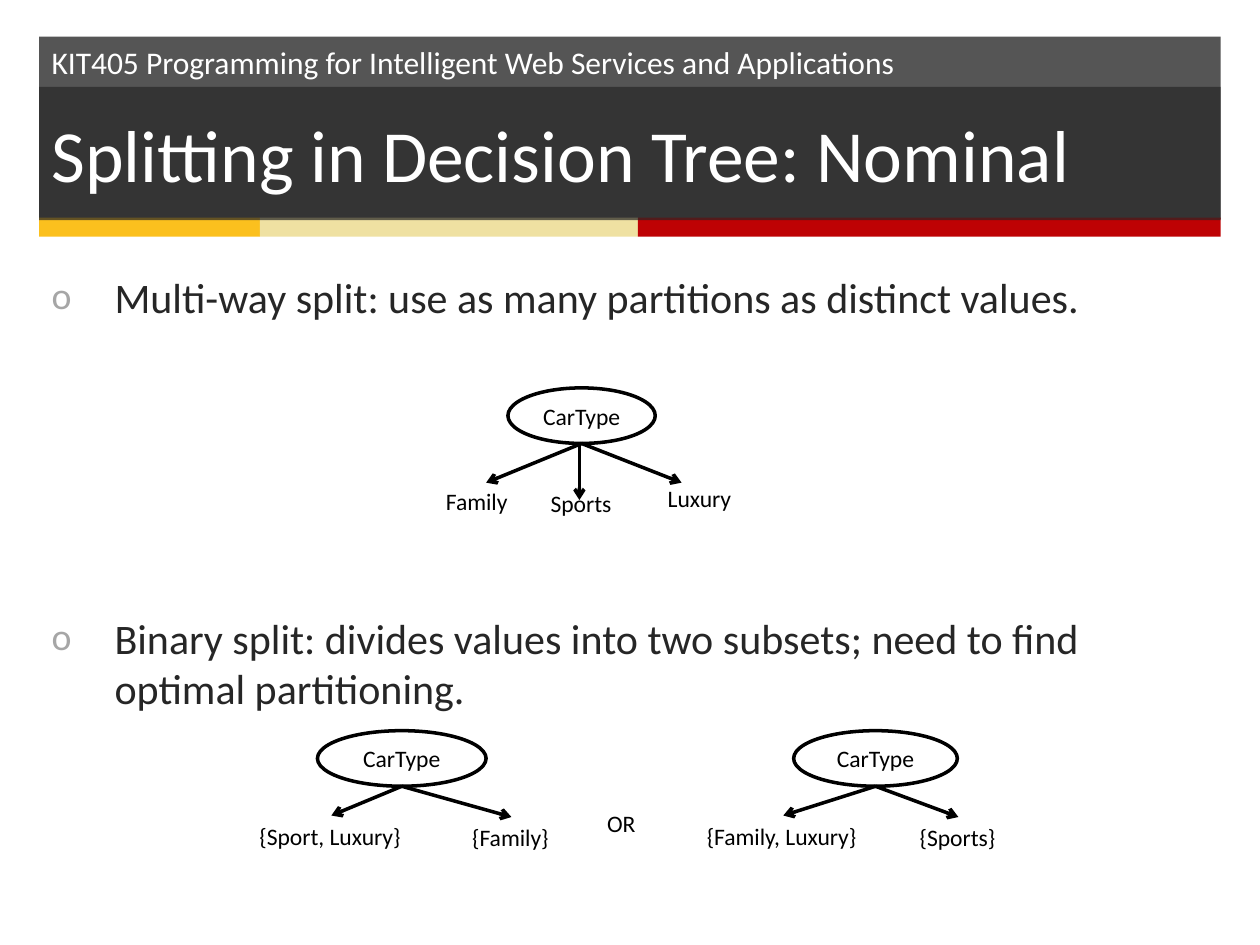
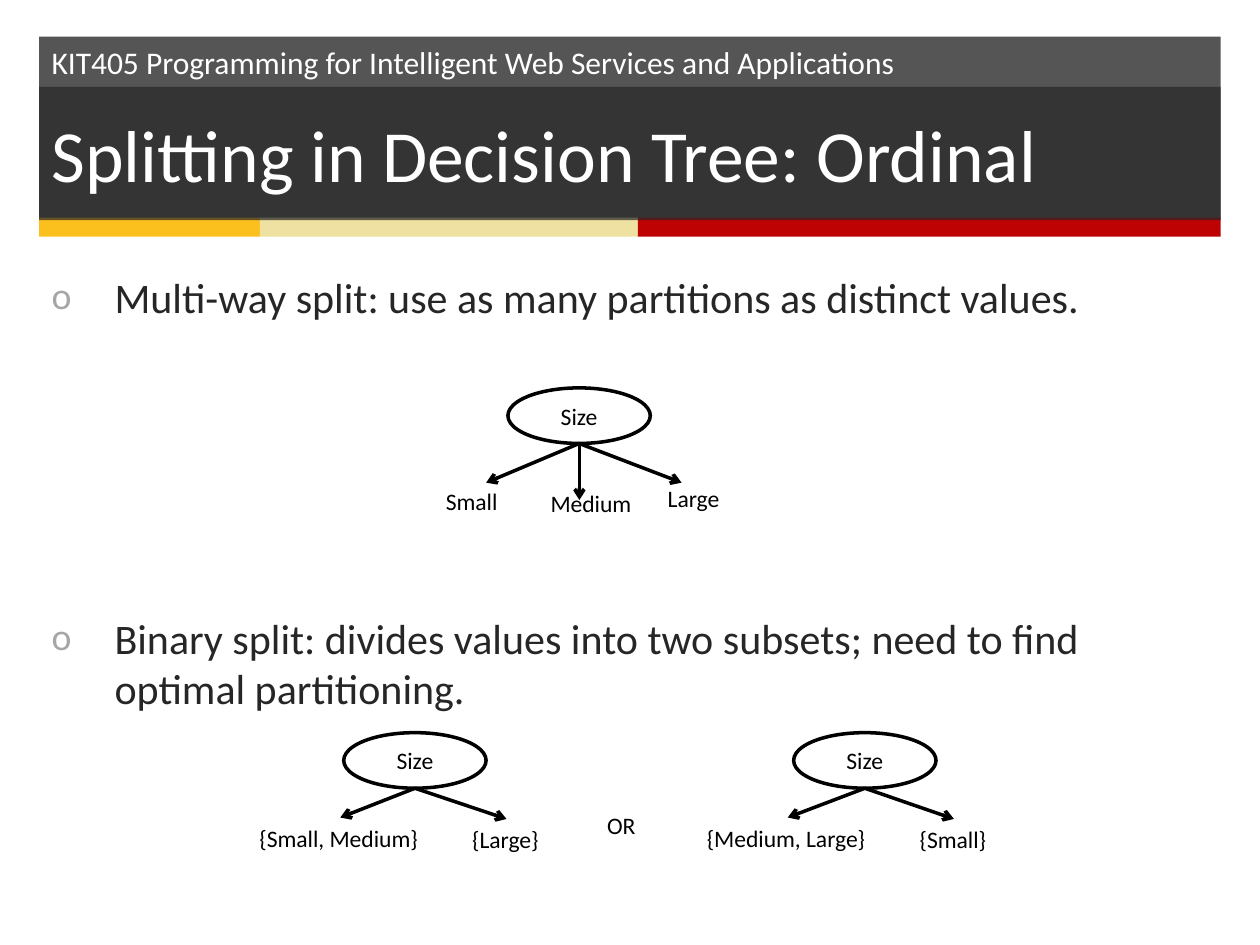
from lxml import etree
from pptx import Presentation
from pptx import util as u
from pptx.dml import color
from pptx.enum import shapes, text
from pptx.oxml import ns

COLOURS = {
    "band": "0D0D0D", "title": "262626", "gold": "FBC01E", "cream": "EFE1A2",
    "red": "BE0204", "white": "FFFFFF", "black": "000000", "body": "262626",
    "bullet": "A6A6A6",
}
COURSE = "KIT405 Programming for Intelligent Web Services and Applications"
POINTS = [
    "Multi-way split: use as many partitions as distinct values.",
    "Binary split: divides values into two subsets; need to find optimal partitioning.",
]
SLIDES = [
    {
        "title": "Splitting in Decision Tree: Nominal",
        "attribute": "CarType",
        "multi_width": 2.97,
        "multi": [("Family", 1.78), ("Sports", 1.75), ("Luxury", 1.8)],
        "binary_top": 14.73,
        "binary": [
            (6.4, 3.4, [("{Sport, Luxury}", 3.4), ("{Family}", 2.08)]),
            (16.0, 3.3, [("{Family, Luxury}", 3.58), ("{Sports}", 2.06)]),
        ],
    },
    {
        "title": "Splitting in Decision Tree: Ordinal",
        "attribute": "Size",
        "multi_width": 2.87,
        "multi": [("Small", 1.57), ("Medium", 2.16), ("Large", 1.57)],
        "binary_top": 14.77,
        "binary": [
            (6.93, 2.87, [("{Small, Medium}", 3.76), ("{Large}", 1.88)]),
            (16.0, 2.87, [("{Medium, Large}", 3.76), ("{Small}", 1.88)]),
        ],
    },
]

LEFT, WIDTH = 0.79, 23.82
STRIPS = [("gold", 4.45), ("cream", 7.62), ("red", 11.75)]
ROOT_HEIGHT, LABEL_HEIGHT = 1.12, 0.84
MULTI_LEFT, MULTI_TOP = 10.24, 7.82
MULTI_LABELS = [(8.74, 9.7), (10.85, 9.73), (13.21, 9.63)]
MULTI_TIPS = [(9.8, 9.73), (11.68, 10.08), (13.74, 9.73)]
BINARY_LABEL_LEFTS = [(4.98, 9.27), (14.0, 18.29)]
BINARY_LABEL_DROPS = (1.71, 1.74)
OR_LEFT, OR_DROP, OR_WIDTH = 11.99, 1.45, 1.09

FORMATS = {
    "course": {"size": u.Pt(18), "colour": "white"},
    "title": {"size": u.Pt(42), "colour": "white"},
    "body": {"size": u.Pt(24), "colour": "body"},
    "tree": {"size": u.Pt(13.5), "colour": "black"},
}


def rgb(name):
    return color.RGBColor.from_string(COLOURS[name])


def lengths(*values):
    return [u.Cm(value) for value in values]


def add_xml(parent, tag, **attributes):
    return etree.SubElement(parent, ns.qn(tag), attributes)


def style(font, kind):
    for name, value in {"name": "Calibri", **FORMATS[kind]}.items():
        if name == "colour":
            font.color.rgb = rgb(value)
        else:
            setattr(font, name, value)


def write(box, words, kind, align=text.PP_ALIGN.LEFT):
    para = box.text_frame.paragraphs[0]
    para.alignment = align
    span = para.add_run()
    span.text = words
    style(span.font, kind)


def add_block(page, preset, place, fill, opacity=None):
    block = page.shapes.add_shape(preset, *lengths(*place))
    block.shadow.inherit = False
    block.fill.solid()
    block.fill.fore_color.rgb = rgb(fill)
    block.line.fill.background()
    block.text_frame.vertical_anchor = text.MSO_ANCHOR.MIDDLE
    if opacity:
        tone = block.fill._xPr.find(".//" + ns.qn("a:srgbClr"))
        add_xml(tone, "a:alpha", val=str(opacity * 1000))
    return block


def add_label(page, words, left, top, width):
    label = page.shapes.add_textbox(*lengths(left, top, width, LABEL_HEIGHT))
    label.text_frame.word_wrap = False
    label.text_frame.auto_size = text.MSO_AUTO_SIZE.SHAPE_TO_FIT_TEXT
    write(label, words, "tree")
    return label


def add_root(page, words, left, top, width):
    root = add_block(page, shapes.MSO_SHAPE.OVAL, (left, top, width, ROOT_HEIGHT), "white")
    root.line.color.rgb = rgb("black")
    root.line.width = u.Pt(2)
    write(root, words, "tree", text.PP_ALIGN.CENTER)
    return left + width / 2, top + ROOT_HEIGHT


def add_arrow(page, start, tip):
    arrow = page.shapes.add_connector(shapes.MSO_CONNECTOR.STRAIGHT, *lengths(*start, *tip))
    arrow.line.color.rgb = rgb("black")
    arrow.line.width = u.Pt(2)
    add_xml(arrow.line._get_or_add_ln(), "a:tailEnd", type="arrow")
    add_xml(arrow._element.spPr, "a:effectLst")
    return arrow


def add_header(page, title):
    rectangle = shapes.MSO_SHAPE.RECTANGLE
    add_block(page, rectangle, (LEFT, 0.74, WIDTH, 3.68), "band", 70)
    left = LEFT
    for fill, width in STRIPS:
        add_block(page, rectangle, (left, 4.39, width, 0.38), fill)
        left += width
    course = page.shapes.add_textbox(*lengths(LEFT, 0.74, 20.68, 1.02))
    course.text_frame.word_wrap = True
    write(course, COURSE, "course")
    banner = add_block(page, rectangle, (LEFT, 1.75, WIDTH, 2.69), "title", 70)
    write(banner, title, "title")


def add_points(page):
    box = page.shapes.add_textbox(*lengths(LEFT, 5.35, WIDTH, 11.79))
    frame = box.text_frame
    frame.word_wrap = True
    for number, words in enumerate(POINTS):
        para = frame.add_paragraph() if number else frame.paragraphs[0]
        if number:
            para.space_before = u.Pt(166)
        layout = para._p.get_or_add_pPr()
        layout.set("marL", str(u.Cm(1.27)))
        layout.set("indent", str(-u.Cm(1.27)))
        add_xml(add_xml(layout, "a:buClr"), "a:srgbClr", val=COLOURS["bullet"])
        add_xml(layout, "a:buSzPct", val="90000")
        add_xml(layout, "a:buFont", typeface="Calibri")
        add_xml(layout, "a:buChar", char="o")
        span = para.add_run()
        span.text = words
        style(span.font, "body")


def add_multi_split(page, content):
    start = add_root(page, content["attribute"], MULTI_LEFT, MULTI_TOP, content["multi_width"])
    for (words, width), place, tip in zip(content["multi"], MULTI_LABELS, MULTI_TIPS):
        origin = (tip[0], start[1]) if place == MULTI_LABELS[1] else start
        add_arrow(page, origin, tip)
        add_label(page, words, *place, width)


def add_binary_splits(page, content):
    top = content["binary_top"]
    for (left, width, leaves), label_lefts in zip(content["binary"], BINARY_LABEL_LEFTS):
        start = add_root(page, content["attribute"], left, top, width)
        for (words, label_width), label_left, drop in zip(leaves, label_lefts, BINARY_LABEL_DROPS):
            label = add_label(page, words, label_left, top + drop, label_width)
            tip = (label_left + label_width / 2, top + drop)
            add_arrow(page, start, tip).end_connect(label, 0)
    add_label(page, "OR", OR_LEFT, top + OR_DROP, OR_WIDTH)


def main():
    deck = Presentation()
    deck.slide_width, deck.slide_height = lengths(25.4, 19.05)
    for content in SLIDES:
        page = deck.slides.add_slide(deck.slide_layouts[6])
        add_header(page, content["title"])
        add_points(page)
        add_multi_split(page, content)
        add_binary_splits(page, content)
    deck.save("out.pptx")


if __name__ == "__main__":
    main()
